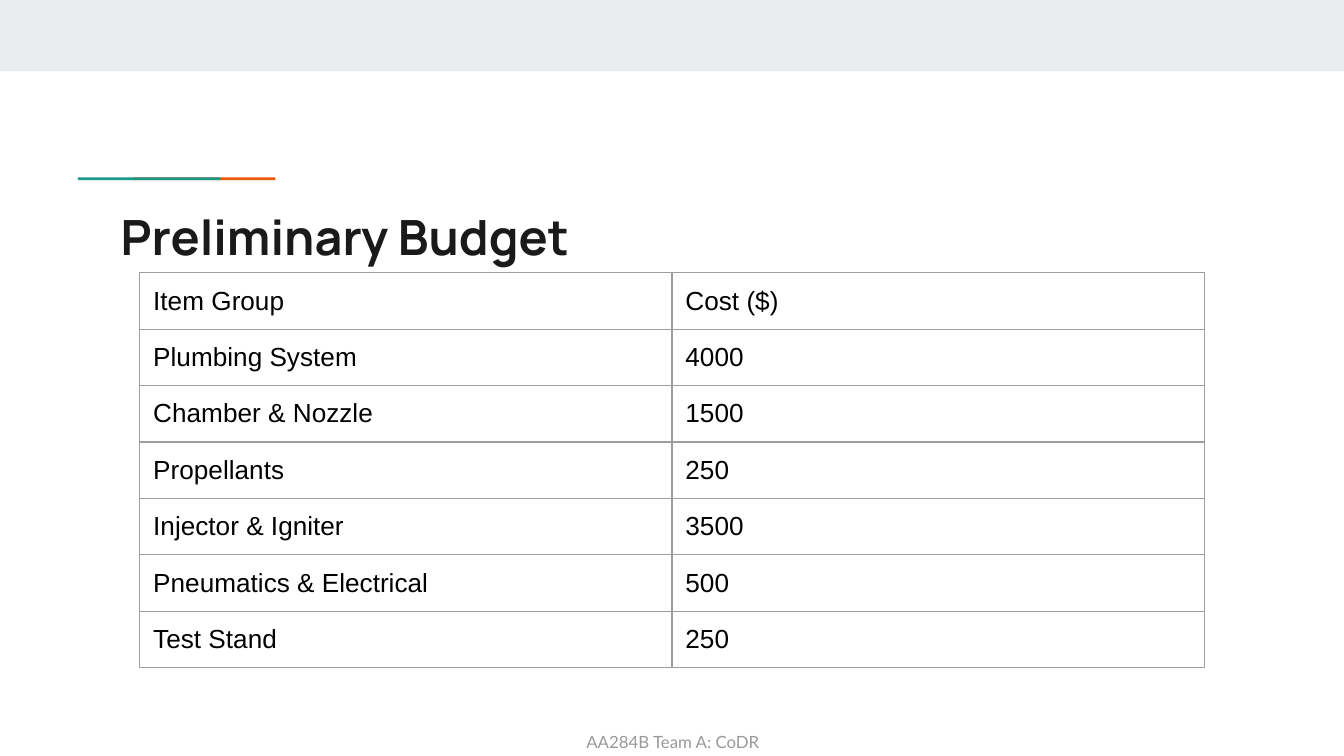
from dataclasses import dataclass
from lxml.etree import SubElement
from pptx import Presentation
from pptx.dml.color import RGBColor
from pptx.enum.shapes import MSO_SHAPE
from pptx.enum.text import MSO_ANCHOR, PP_ALIGN
from pptx.oxml.ns import qn
from pptx.util import Inches, Pt


@dataclass
class Theme:
    page: str = "FFFFFF"
    band: str = "E9EDEE"
    teal: str = "1A9988"
    orange: str = "EB5600"
    title: str = "1A1A1A"
    body: str = "000000"
    footer: str = "999999"
    border: str = "9E9E9E"
    title_size: int = 26
    body_size: int = 14
    footer_size: int = 9
    rule: float = 0.75


theme = Theme()
pad = Inches(0.1)


def paint(fill, color):
    fill.solid()
    fill.fore_color.rgb = RGBColor.from_string(color)


def write(frame, text, face, size, color, bold=False):
    run = frame.paragraphs[0].add_run()
    run.text = text
    run.font.name = face
    run.font.size = Pt(size)
    run.font.bold = bold
    run.font.color.rgb = RGBColor.from_string(color)


# 16:9 page
deck = Presentation()
deck.slide_width = Inches(10)
deck.slide_height = deck.slide_width * 9 // 16
slide = deck.slides.add_slide(deck.slide_layouts[6])
paint(slide.background.fill, theme.page)

# Top band and accent line; the teal bar overlaps the orange one
bars = [
    (0, 0, 10, 0.53, theme.band),
    (0.99, 1.32, 1.06, 0.02, theme.orange),
    (0.58, 1.32, 1.06, 0.02, theme.teal),
]
for *place, color in bars:
    bar = slide.shapes.add_shape(MSO_SHAPE.RECTANGLE, *map(Inches, place))
    bar.shadow.inherit = False
    bar.line.fill.background()
    paint(bar.fill, color)

# Title and footer
labels = [
    ((0.8, 1.44, 8.41, 0.59), PP_ALIGN.LEFT,
     ("Preliminary Budget", "Manrope", theme.title_size, theme.title, True)),
    ((3.31, 5.37, 3.39, 0.23), PP_ALIGN.CENTER,
     ("AA284B Team A: CoDR", "Lato", theme.footer_size, theme.footer)),
]
for place, align, words in labels:
    frame = slide.shapes.add_textbox(*map(Inches, place)).text_frame
    frame.word_wrap = True
    frame.vertical_anchor = MSO_ANCHOR.TOP
    frame.margin_left = frame.margin_right = pad
    frame.margin_top = frame.margin_bottom = pad
    frame.paragraphs[0].alignment = align
    write(frame, *words)

# Budget table
budget = [
    ("Item Group", "Cost ($)"),
    ("Plumbing System", "4000"),
    ("Chamber & Nozzle", "1500"),
    ("Propellants", "250"),
    ("Injector & Igniter", "3500"),
    ("Pneumatics & Electrical", "500"),
    ("Test Stand", "250"),
]
col, row = Inches(3.96), Inches(0.42)
table = slide.shapes.add_table(
    len(budget), 2, Inches(1.04), Inches(2.03), 2 * col, len(budget) * row
).table
table.first_row = table.horz_banding = False
for r, items in enumerate(budget):
    table.rows[r].height = row
    for c, text in enumerate(items):
        cell = table.cell(r, c)
        cell.margin_left = cell.margin_right = cell.margin_top = pad
        cell.margin_bottom = Inches(0.08)  # keeps the row at its height
        write(cell.text_frame, text, "Arial", theme.body_size, theme.body)

        # The paragraph mark takes the body type too
        mark = SubElement(cell.text_frame.paragraphs[0]._p,
                          qn("a:endParaRPr"), sz=str(theme.body_size * 100))
        SubElement(mark, qn("a:latin"), typeface="Arial")

        # Borders come before the fill in the cell properties
        props = cell._tc.get_or_add_tcPr()
        for side in ("lnL", "lnR", "lnT", "lnB"):
            line = SubElement(props, qn(f"a:{side}"), w=str(Pt(theme.rule)))
            solid = SubElement(line, qn("a:solidFill"))
            SubElement(solid, qn("a:srgbClr"), val=theme.border)
        cell.fill.background()

deck.save("out.pptx")
